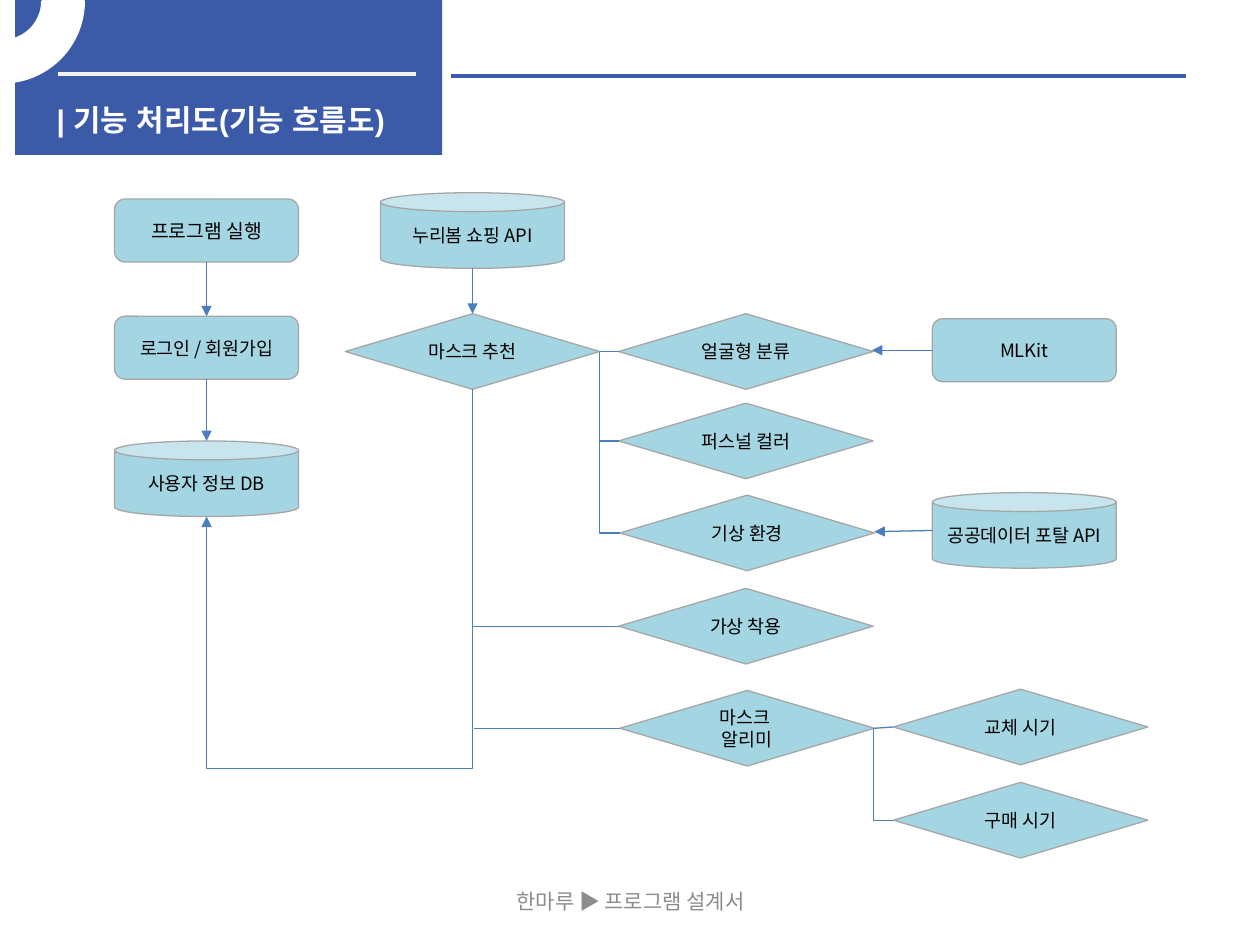
from lxml import etree
from pptx import Presentation
from pptx.dml.color import RGBColor
from pptx.enum.shapes import MSO_CONNECTOR, MSO_SHAPE
from pptx.enum.text import MSO_ANCHOR, PP_ALIGN
from pptx.oxml.ns import qn
from pptx.util import Inches, Pt

RECT, ARC = MSO_SHAPE.RECTANGLE, MSO_SHAPE.BLOCK_ARC
STEP, STORE = MSO_SHAPE.ROUNDED_RECTANGLE, MSO_SHAPE.CAN
TASK = MSO_SHAPE.FLOWCHART_DECISION
LINE, ELBOW = MSO_CONNECTOR.STRAIGHT, MSO_CONNECTOR.ELBOW
CENTER, LEFT = PP_ALIGN.CENTER, PP_ALIGN.LEFT
TOP, MIDDLE = MSO_ANCHOR.TOP, MSO_ANCHOR.MIDDLE

NAVY = RGBColor(0x3B, 0x5A, 0xA8)
WHITE = RGBColor(0xFF, 0xFF, 0xFF)
PALE = RGBColor(0xF2, 0xF2, 0xF2)
TEAL = RGBColor(0x4B, 0xAC, 0xC6)
EDGE = RGBColor(0xA6, 0xA6, 0xA6)
FLOW = RGBColor(0x4B, 0x7E, 0xBC)
BLACK = RGBColor(0, 0, 0)
GRAY = RGBColor(0x8C, 0x8C, 0x8C)
SANS, HEAD = "Noto Sans CJK KR", "Arial"
SIZES = {STEP: (1.46, 0.5), STORE: (1.46, 0.6), TASK: (2.02, 0.6)}


def sub(node, tag, **attrs):
    return etree.SubElement(node, qn(tag), attrs)


class Chart:
    """Holds the slide and draws each kind of element in one style."""

    def __init__(self, slide):
        self.slide = slide
        self.shapes = slide.shapes

    def text(self, frame, lines, size, color, font=SANS, align=CENTER,
             anchor=MIDDLE, bold=False):
        frame.word_wrap = True
        frame.vertical_anchor = anchor
        for i, line in enumerate(lines):
            para = frame.add_paragraph() if i else frame.paragraphs[0]
            para.alignment = align
            run = para.add_run()
            run.text = line
            run.font.name, run.font.size = font, Pt(size)
            run.font.bold = bold
            run.font.color.rgb = color
            sub(run.font._element, "a:ea", typeface=font)

    def title(self, text, *box):
        title = self.shapes.title
        title.left, title.top, title.width, title.height = map(Inches, box)
        self.text(title.text_frame, [text], 17, WHITE, HEAD, LEFT, TOP, True)
        # Bring the title in front of the banner
        title.element.getparent().append(title.element)

    def label(self, text, *box):
        frame = self.shapes.add_textbox(*map(Inches, box)).text_frame
        self.text(frame, [text], 12, GRAY)

    def shape(self, kind, box, fill, edge=None, width=0.75):
        shape = self.shapes.add_shape(kind, *map(Inches, box))
        shape.shadow.inherit = False
        shape.fill.solid()
        shape.fill.fore_color.rgb = fill
        if edge is None:
            shape.line.fill.background()
        else:
            shape.line.color.rgb = edge
            shape.line.width = Pt(width)
        return shape

    def node(self, kind, left, top, *lines, size=10.5):
        shape = self.shape(kind, (left, top, *SIZES[kind]), TEAL, EDGE)
        color = shape.element.spPr.find(qn("a:solidFill"))[0]
        sub(color, "a:alpha", val="50000")
        self.text(shape.text_frame, lines, size, BLACK)

    def line(self, start, end, color=FLOW, width=0.75, arrow=False, kind=LINE):
        line = self.shapes.add_connector(kind, *map(Inches, start + end))
        line.line.color.rgb = color
        line.line.width = Pt(width)
        if arrow:
            edge = line.element.spPr.find(qn("a:ln"))
            sub(edge, "a:tailEnd", type="triangle")
        sub(line.element.spPr, "a:effectLst")
        return line

    def bend(self, start, end, ratio=0, arrow=False):
        line = self.line(start, end, arrow=arrow, kind=ELBOW)
        geom = line.element.spPr.find(qn("a:prstGeom"))
        guides = geom.find(qn("a:avLst"))
        if guides is None:
            guides = sub(geom, "a:avLst")
        sub(guides, "a:gd", name="adj1", fmla=f"val {round(ratio * 100000)}")
        return line

    def loop(self, start, end, floor):
        """Run down to the floor, left, then up to the end."""
        (x1, y1), (x2, y2) = start, end
        midx, midy = (x1 + x2) / 2, (y1 + y2) / 2
        halfw, halfh = (y2 - y1) / 2, (x1 - x2) / 2
        line = self.bend((midx - halfw, midy - halfh),
                         (midx + halfw, midy + halfh),
                         (floor - y1) / (y2 - y1), True)
        line.element.spPr.find(qn("a:xfrm")).set("rot", "5400000")


def main():
    deck = Presentation()
    deck.slide_width, deck.slide_height = Inches(10), Inches(7.5)
    chart = Chart(deck.slides.add_slide(deck.slide_layouts[5]))

    # Banner and title
    chart.shape(RECT, (0.12, 0, 3.39, 1.23), NAVY)
    chart.line((0.46, 0.59), (3.3, 0.59), PALE, 2.25)
    chart.line((3.58, 0.6), (9.41, 0.6), NAVY, 2.25)
    chart.title("| 기능 처리도(기능 흐름도)", 0.35, 0.76, 3.23, 0.3)
    arc = chart.shape(ARC, (-0.63, -0.63, 1.29, 1.28), WHITE, WHITE, 2)
    # Angles are stored in 1/60000 degree, adjustments in 1/100000
    for i, value in enumerate((161.59 * 0.6, 0, 0.25)):
        arc.adjustments[i] = value
    arc.element.spPr.find(qn("a:xfrm")).set("flipV", "1")

    # Footer
    chart.label("한마루 ▶ 프로그램 설계서", 3.42, 6.95, 3.17, 0.4)

    # Login column
    chart.node(STEP, 0.91, 1.58, "프로그램 실행", size=11)
    chart.node(STEP, 0.91, 2.51, "로그인 / 회원가입")
    chart.node(STORE, 0.91, 3.5, "사용자 정보 DB")

    # Mask advice and its tasks
    chart.node(STORE, 3.02, 1.53, "누리봄 쇼핑 API")
    chart.node(TASK, 2.74, 2.49, "마스크 추천")
    for left, top, *lines in (
        (4.91, 2.49, "얼굴형 분류"),
        (4.91, 3.2, "퍼스널 컬러"),
        (4.92, 3.93, "기상 환경"),
        (4.91, 4.67, "가상 착용"),
        (4.92, 5.48, "마스크 ", "알리미"),
        (7.09, 5.47, "교체 시기"),
        (7.09, 6.21, "구매 시기"),
    ):
        chart.node(TASK, left, top, *lines)

    # Data sources
    chart.node(STEP, 7.4, 2.53, "MLKit")
    chart.node(STORE, 7.4, 3.91, "공공데이터 포탈 API")

    # Arrows
    for start, end in (
        ((1.64, 2.08), (1.64, 2.51)),
        ((1.64, 3.01), (1.64, 3.5)),
        ((3.75, 2.13), (3.75, 2.49)),
        ((7.4, 2.78), (6.92, 2.78)),
        ((7.4, 4.21), (6.94, 4.22)),
    ):
        chart.line(start, end, arrow=True)
    chart.loop((3.75, 3.09), (1.64, 4.1), 6.1)

    # Plain links
    for start, end in (
        ((4.76, 2.79), (4.91, 2.79)),
        ((4.91, 4.97), (3.75, 4.97)),
        ((4.92, 5.78), (3.76, 5.78)),
        ((6.94, 5.78), (7.09, 5.77)),
    ):
        chart.line(start, end)

    # Branches
    chart.bend((4.76, 2.79), (4.91, 3.5))
    chart.bend((4.76, 2.79), (4.92, 4.23))
    chart.bend((6.94, 5.78), (7.09, 6.51), -0.07)

    deck.save("out.pptx")


if __name__ == "__main__":
    main()
